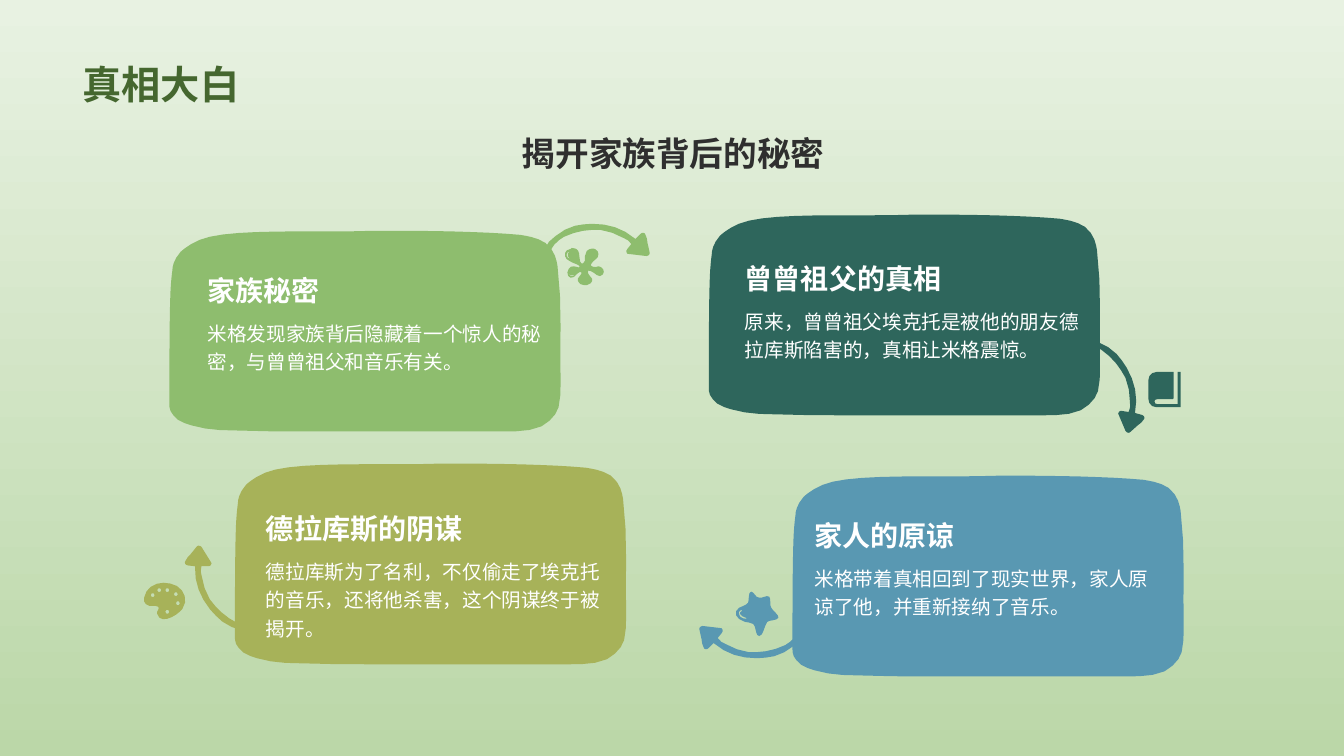
from dataclasses import dataclass
from math import ceil, hypot, sqrt

from pptx import Presentation
from pptx.dml.color import RGBColor
from pptx.enum.text import MSO_ANCHOR as Anchor, PP_ALIGN as Align
from pptx.util import Inches, Pt

CURVE_TOLERANCE = 0.005
BODY_FONT = "Arial"
WHITE = "FFFFFF"

CARD = (
    "202 0;202 0 293 -1 348 4;353 5 364 6 373 12;383 20 384 30 385 35;"
    "390 74 387 113 388 152;388 159 388 167 386 175;384 182 378 189 369 194;"
    "358 199 344 199 331 199;137 199;112 199 88 199 64 198;"
    "50 198 35 197 22 193;15 191 7 188 4 183;0 179 0 174 0 172;"
    "0 63 1 55 3 39;3 36 4 29 11 21;11 21 18 14 30 9;58 -3 144 2 202 0"
)
ARROW = (
    "87 21;85 18 82 16 79 15;72 11 64 8 56 7;50 7 45 7 39 8;33 9 26 11 20 14;"
    "15 17 10 21 7 27;6 29;5 30 3 31 2 30;0 29 0 27 1 26;"
    "3 21 7 16 12 13;18 8 24 5 31 3;37 2 42 1 48 1;64 1 78 5 91 16;"
    "96 11;97 10 98 10 99 10;100 10 101 11 101 12;"
    "102 14 103 17 103 20;105 29;106 31 104 33 102 33;"
    "85 31;83 31 83 31 82 29;82 28 82 27 83 26;87 21"
)
FLOWER = (
    "38 19;36 18 35 18 33 19;30 19 26 18 29 15;30 13 34 11 35 9;36 6 36 3 32 1;"
    "30 0 26 1 24 3;22 6 22 10 22 13;20 18 17 15 17 11;16 7 18 0 9 0;"
    "8 1;0 2 1 11 7 13;11 16 17 16 17 19;17 21 9 15 6 21;"
    "3 25 6 32 11 29;12 28 13 27 14 26;18 22 21 24 17 28;13 31 16 35 18 36;"
    "21 37 24 38 28 35;30 33 30 30 28 29;24 25 24 21 28 23;31 24 34 28 37 28;"
    "42 27 42 21 38 19"
    "|7 3;3 7 6 10 9 12;2 9 3 5 7 3"
    "|8 28;7 27 6 26 6 25;8 29 11 27 12 26;12 27 10 29 8 28"
)
BOOK = (
    "32 0;29 0;29 32;9 32;7 32 6 31 6 29;6 28 7 27 9 27;24 27;25 26;25 0;8 0;"
    "3 0 0 4 0 8;0 27;0 31 3 35 8 35;32 35;32 0"
)
STAR = (
    "32 6;29 4 25 8 22 7;18 7 17 1 14 1;11 1 12 10 11 12;10 14 4 16 2 17;"
    "-4 21 -2 28 8 31;10 31 14 32 16 33;19 35 18 45 22 45;26 45 27 35 30 31;"
    "32 29 39 30 41 27;42 24 35 20 34 17;32 15 34 8 32 6"
    "|5 20;3 21 3 22 3 23;4 25 6 26 9 27;10 28;5 28 2 26 2 23;"
    "1 22 2 20 4 19;5 20"
)
PALETTE_BODY = (
    "27 3;16 0 3 5 1 17;0 21 2 24 6 25;9 26 12 24 15 26;17 28 13 30 14 33;"
    "17 45 35 34 39 28;46 18 39 5 27 3"
)
PAINT_WELLS = [(9.5, 14.5), (16, 9.5), (24, 9.5), (32.5, 13.5), (34.5, 22.5), (24, 31)]


def paint_well(x, y):
    """Return the outline of a round hole centred on x, y."""
    left, right, top, bottom = x - 2, x + 2, y - 2.7, y + 2.7
    return (f"{left} {y};{left} {top} {right} {top} {right} {y};"
            f"{right} {bottom} {left} {bottom} {left} {y}")


PALETTE = "|".join([PALETTE_BODY] + [paint_well(x, y) for x, y in PAINT_WELLS])


@dataclass
class Topic:
    """A card with its wording; the offsets are measured from its corner."""
    heading: str
    story: str
    color: str
    corner: tuple
    text_offset: tuple
    arrow_center: tuple
    arrow_turn: float
    icon: str
    icon_offset: tuple


TOPICS = [
    Topic("家族秘密", "米格发现家族背后隐藏着一个惊人的秘密，与曾曾祖父和音乐有关。",
          "8EBD6E", (1.68, 2.29), (0.28, 0.18), (4.24, 0.09), 0, FLOWER, (3.9, 0.17)),
    Topic("曾曾祖父的真相", "原来，曾曾祖父埃克托是被他的朋友德拉库斯陷害的，真相让米格震惊。",
          "2E665C", (7.03, 2.13), (0.26, 0.22), (4.03, 1.64), 60.4, BOOK, (4.36, 1.56)),
    Topic("德拉库斯的阴谋", "德拉库斯为了名利，不仅偷走了埃克托的音乐，还将他杀害，这个阴谋终于被揭开。",
          "A7B259", (2.33, 4.6), (0.21, 0.23), (-0.15, 1.31), 231.4, PALETTE, (-0.91, 1.16)),
    Topic("家人的原谅", "米格带着真相回到了现实世界，家人原谅了他，并重新接纳了音乐。",
          "5998B2", (7.86, 4.72), (0.12, 0.18), (-0.4, 1.65), 180, STAR, (-0.55, 1.14)),
]


def rgb(hex_color):
    """Turn a hex string into a colour."""
    return RGBColor.from_string(hex_color)


def curve_points(controls):
    """Sample a cubic curve with as few points as the tolerance allows."""
    bend = max(hypot(*(a - 2 * b + c for a, b, c in zip(*controls[i:i + 3])))
               for i in (0, 1))
    steps = max(1, ceil(sqrt(0.75 * bend / CURVE_TOLERANCE)))
    for step in range(1, steps + 1):
        t = step / steps
        weights = ((1 - t) ** 3, 3 * t * (1 - t) ** 2, 3 * t * t * (1 - t), t ** 3)
        yield tuple(sum(w * p[axis] for w, p in zip(weights, controls)) for axis in (0, 1))


def trace(contour):
    """Turn segments of one point (line) or three (curve) into vertices in EMU."""
    vertices = []
    for segment in contour.split(";"):
        numbers = [float(n) / 100 for n in segment.split()]
        points = list(zip(numbers[::2], numbers[1::2]))
        if len(points) == 3:
            points = list(curve_points([vertices[-1]] + points))
        vertices.extend(points)
    return [(Inches(x), Inches(y)) for x, y in vertices]


def add_outline(slide, outline, left, top, color):
    """Draw a filled outline with its origin at left, top."""
    first, *others = [trace(contour) for contour in outline.split("|")]
    builder = slide.shapes.build_freeform(*first[0], scale=1.0)
    builder.add_line_segments(first[1:], close=True)
    for vertices in others:
        builder.move_to(*vertices[0])
        builder.add_line_segments(vertices[1:], close=True)
    figure = builder.convert_to_shape(Inches(left), Inches(top))
    figure.shadow.inherit = False
    figure.fill.solid()
    figure.fill.fore_color.rgb = rgb(color)
    figure.line.fill.background()
    return figure


def write(frame, wording, size, color, bold=False, align=Align.LEFT,
          anchor=Anchor.TOP, spacing=None):
    """Put one formatted run into a text frame."""
    frame.word_wrap = True
    frame.vertical_anchor = anchor
    paragraph = frame.paragraphs[0]
    paragraph.alignment = align
    paragraph.line_spacing = spacing
    run = paragraph.add_run()
    run.text = wording
    run.font.name = BODY_FONT
    run.font.size = Pt(size)
    run.font.bold = bold
    run.font.color.rgb = rgb(color)


def add_text(slide, box, wording, size, color, **style):
    """Add a text box with one run."""
    frame = slide.shapes.add_textbox(*map(Inches, box)).text_frame
    write(frame, wording, size, color, **style)


def add_header(slide, title_box, subtitle_box):
    """Fill the title placeholder and add the centred subtitle."""
    title = slide.shapes.title
    title.left, title.top, title.width, title.height = map(Inches, title_box)
    write(title.text_frame, "真相大白", 28, "45672F", bold=True, anchor=Anchor.BOTTOM)
    add_text(slide, subtitle_box, "揭开家族背后的秘密", 24, "2F2F2F",
             bold=True, align=Align.CENTER)


def add_topic(slide, topic):
    """Draw a card with its arrow, icon, heading and story."""
    left, top = topic.corner
    arrow = add_outline(slide, ARROW, left, top, topic.color)
    arrow.left = Inches(left + topic.arrow_center[0]) - arrow.width // 2
    arrow.top = Inches(top + topic.arrow_center[1]) - arrow.height // 2
    arrow.rotation = topic.arrow_turn
    add_outline(slide, CARD, left, top, topic.color)
    icon_left, icon_top = topic.icon_offset
    add_outline(slide, topic.icon, left + icon_left, top + icon_top, topic.color)
    text_left, text_top = left + topic.text_offset[0], top + topic.text_offset[1]
    add_text(slide, (text_left, text_top, 3.57, 0.63), topic.heading, 20, WHITE,
             bold=True, anchor=Anchor.BOTTOM)
    add_text(slide, (text_left, text_top + 0.63, 3.57, 0.98), topic.story, 14, WHITE,
             spacing=1.2)


def paint_background(slide):
    """Fade the background from green at the bottom to pale at the top."""
    fill = slide.background.fill
    fill.gradient()
    fill.gradient_angle = 90
    for stop, color, position in zip(fill.gradient_stops, ("BBD7A8", "E8F2E2"), (0, 1)):
        stop.color.rgb = rgb(color)
        stop.position = position


def main():
    """Build the slide and save it."""
    deck = Presentation()
    deck.slide_width, deck.slide_height = Inches(13.33), Inches(7.5)
    slide = deck.slides.add_slide(deck.slide_layouts[5])
    paint_background(slide)
    add_header(slide, (0.72, 0.14, 11.88, 0.98), (1.45, 1.27, 10.45, 0.79))
    for topic in TOPICS:
        add_topic(slide, topic)
    deck.save("out.pptx")


if __name__ == "__main__":
    main()
